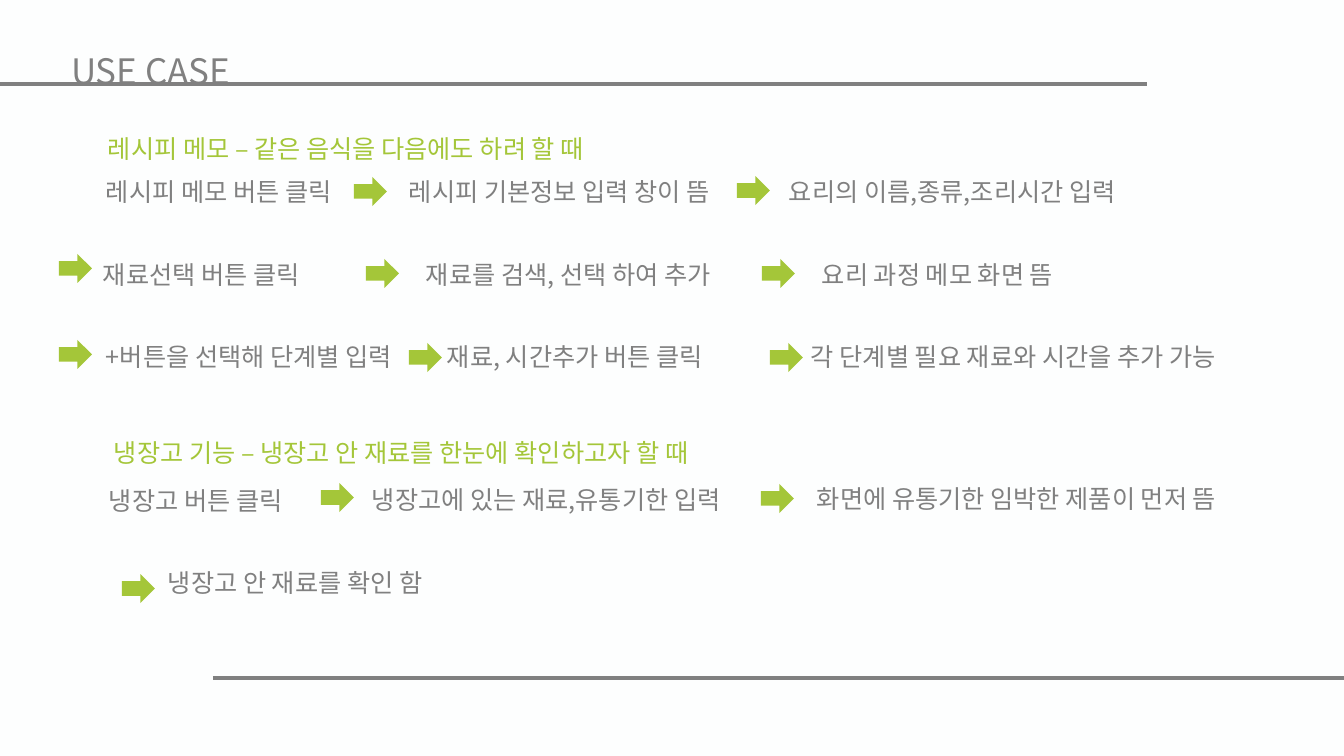
from dataclasses import dataclass

import lxml.etree
import pptx
import pptx.dml.color
import pptx.enum.shapes
import pptx.enum.text
import pptx.oxml.ns
import pptx.util

EMU_PER_PX = 914400 / 100.8
SLIDE_WIDTH, SLIDE_HEIGHT = 1344, 756
TEXT_HEIGHT = 40
ARROW_WIDTH, ARROW_HEIGHT = 33, 29


@dataclass(frozen=True)
class Theme:
    font: str = "Noto Sans CJK KR"
    background: str = "FDFEFE"
    gray: str = "808080"
    green: str = "A4C639"
    title_size: int = 25
    body_size: int = 18
    rule_width: int = 3


THEME = Theme()

# text, left, top, width
HEADINGS = [
    ("레시피 메모 – 같은 음식을 다음에도 하려 할 때", 98, 128, 780),
    ("냉장고 기능 – 냉장고 안 재료를 한눈에 확인하고자 할 때", 104, 432, 627),
]

# text, left, top, width, (left, top) of the arrow leading to the step
STEPS = [
    ("레시피 메모 버튼 클릭", 96, 171, 263, None),
    ("레시피 기본정보 입력 창이 뜸", 399, 171, 355, (354, 177)),
    ("요리의 이름,종류,조리시간 입력", 779, 171, 355, (737, 176)),
    ("재료선택 버튼 클릭", 93, 254, 220, (59, 254)),
    ("재료를 검색, 선택 하여 추가", 416, 254, 309, (366, 259)),
    ("요리 과정 메모 화면 뜸", 812, 254, 309, (762, 259)),
    ("+버튼을 선택해 단계별 입력", 96, 336, 309, (59, 340)),
    ("재료, 시간추가 버튼 클릭", 437, 336, 309, (409, 343)),
    ("각 단계별 필요 재료와 시간을 추가 가능", 801, 336, 453, (770, 343)),
    ("냉장고 버튼 클릭", 99, 480, 263, None),
    ("냉장고에 있는 재료,유통기한 입력", 362, 479, 369, (321, 483)),
    ("화면에 유통기한 임박한 제품이 먼저 뜸", 807, 478, 421, (761, 484)),
    ("냉장고 안 재료를 확인 함", 158, 562, 303, (122, 574)),
]


def px(length):
    return pptx.util.Emu(round(length * EMU_PER_PX))


def rgb(color):
    return pptx.dml.color.RGBColor.from_string(color)


def write_text(shape, text, *, size=THEME.body_size, color=THEME.gray):
    """Fill the shape with one left-aligned, wrapping paragraph."""
    frame = shape.text_frame
    frame.word_wrap = True
    frame.auto_size = pptx.enum.text.MSO_AUTO_SIZE.SHAPE_TO_FIT_TEXT
    frame.vertical_anchor = pptx.enum.text.MSO_ANCHOR.TOP
    paragraph = frame.paragraphs[0]
    paragraph.alignment = pptx.enum.text.PP_ALIGN.LEFT
    run = paragraph.add_run()
    run.text = text
    run.font.size = pptx.util.Pt(size)
    run.font.color.rgb = rgb(color)
    run.font.name = THEME.font
    east_asian = lxml.etree.SubElement(
        run.font._element, pptx.oxml.ns.qn("a:ea"))
    east_asian.set("typeface", THEME.font)


def add_text(slide, text, left, top, width, **text_format):
    box = slide.shapes.add_textbox(
        px(left), px(top), px(width), px(TEXT_HEIGHT))
    write_text(box, text, **text_format)


def add_title(slide, text):
    title = slide.shapes.title
    title.left, title.top = px(61), px(44)
    title.width, title.height = px(263), px(52)
    write_text(title, text, size=THEME.title_size)


def add_rule(slide, start, end, y):
    rule = slide.shapes.add_connector(
        pptx.enum.shapes.MSO_CONNECTOR.STRAIGHT,
        px(start), px(y), px(end), px(y))
    rule.line.color.rgb = rgb(THEME.gray)
    rule.line.width = pptx.util.Pt(THEME.rule_width)
    lxml.etree.SubElement(
        rule._element.spPr, pptx.oxml.ns.qn("a:effectLst"))


def add_arrow(slide, left, top):
    arrow = slide.shapes.add_shape(
        pptx.enum.shapes.MSO_SHAPE.RIGHT_ARROW,
        px(left), px(top), px(ARROW_WIDTH), px(ARROW_HEIGHT))
    arrow.shadow.inherit = False
    arrow.fill.solid()
    arrow.fill.fore_color.rgb = rgb(THEME.green)
    arrow.line.fill.background()


def main():
    presentation = pptx.Presentation()
    presentation.slide_width = px(SLIDE_WIDTH)
    presentation.slide_height = px(SLIDE_HEIGHT)
    title_only = presentation.slide_layouts.get_by_name("Title Only")
    slide = presentation.slides.add_slide(title_only)
    slide.background.fill.solid()
    slide.background.fill.fore_color.rgb = rgb(THEME.background)

    add_rule(slide, 0, 1147, 84)
    add_rule(slide, 213, SLIDE_WIDTH, 678)
    add_title(slide, "USE CASE")
    for text, left, top, width in HEADINGS:
        add_text(slide, text, left, top, width, color=THEME.green)
    for text, left, top, width, arrow in STEPS:
        add_text(slide, text, left, top, width)
        if arrow:
            add_arrow(slide, *arrow)

    presentation.save("out.pptx")


if __name__ == "__main__":
    main()
